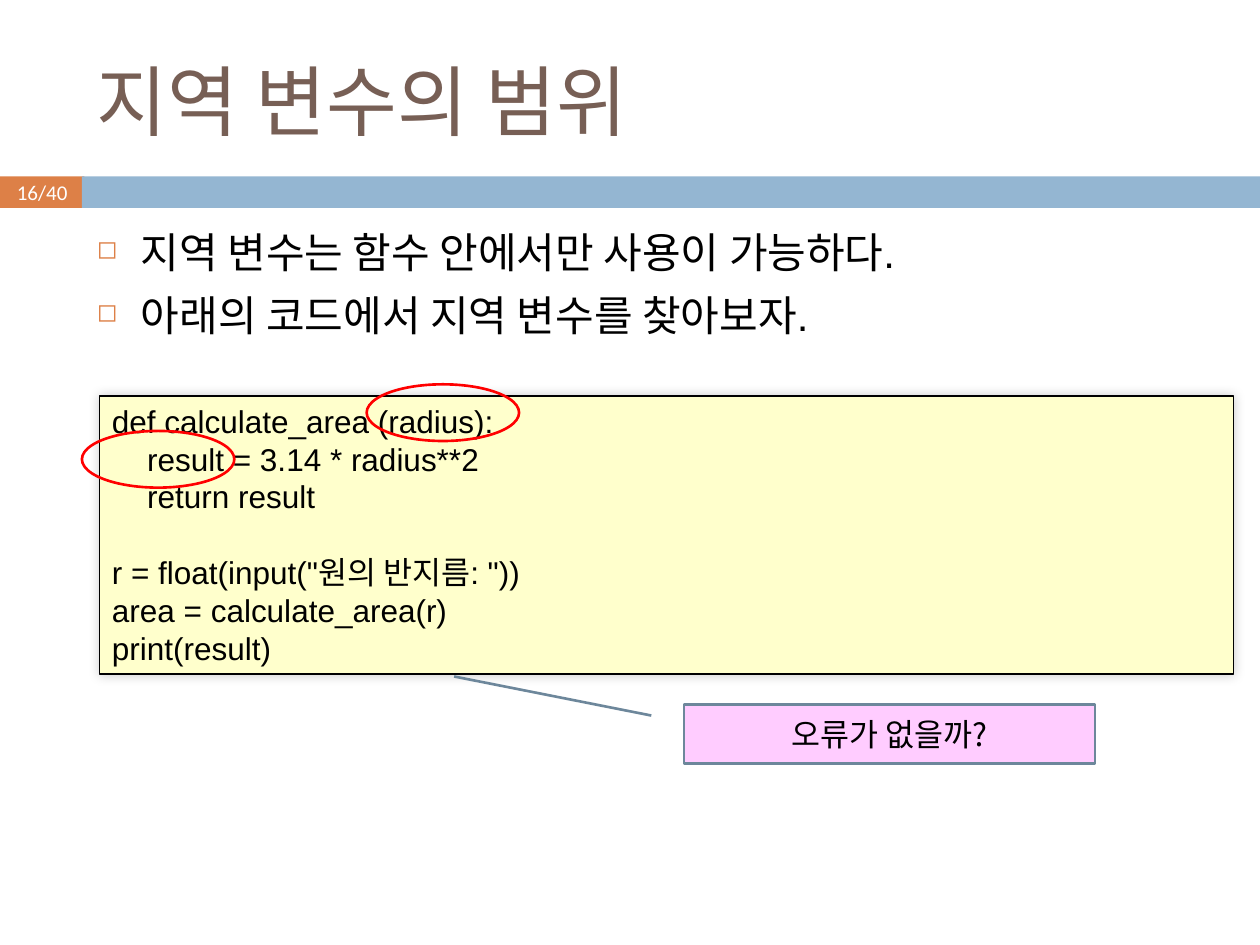
from lxml import etree
from pptx import Presentation, util as u
from pptx.dml.color import RGBColor
from pptx.enum import shapes, text
from pptx.oxml import ns

RECT = shapes.MSO_SHAPE.RECTANGLE
CODE = [
    (0, 0, "def calculate_area (radius):"),
    (1, 0, "result = 3.14 * radius**2"),
    (1, 0, "return result"),
    (0, 1, 'r = float(input("원의 반지름: "))'),
    (0, 0, "area = calculate_area(r)"),
    (0, 0, "print(result)"),
]


def color(value):
    """Turn a hex string into a colour."""
    return RGBColor.from_string(value)


def add_xml(parent, tag, **attributes):
    """Append a DrawingML element and return it."""
    return etree.SubElement(parent, ns.qn(tag), attributes)


def add_box(page, kind, box, fill=None, line=None, width=1):
    """Add a preset shape without shadow; box is left, top, width, height."""
    shape = page.shapes.add_shape(kind, *map(u.Inches, box))
    shape.shadow.inherit = False
    if fill:
        shape.fill.solid()
        shape.fill.fore_color.rgb = color(fill)
    else:
        shape.fill.background()
    if line:
        shape.line.color.rgb = color(line)
        shape.line.width = u.Pt(width)
    else:
        shape.line.fill.background()
    return shape


def add_text_box(page, box, anchor):
    """Add a wrapping text box and return its frame."""
    frame = page.shapes.add_textbox(*map(u.Inches, box)).text_frame
    frame.word_wrap = True
    frame.vertical_anchor = anchor
    return frame


def write(para, words, size, font, hue="000000", align=text.PP_ALIGN.LEFT):
    """Fill a paragraph with one style of text."""
    para.text = words
    para.alignment = align
    para.font.size = u.Pt(size)
    para.font.name = font
    para.font.color.rgb = color(hue)


def write_lines(frame, lines):
    """Yield a paragraph of the frame for each line."""
    for index, line in enumerate(lines):
        yield frame.add_paragraph() if index else frame.paragraphs[0], line


def add_band(page, left, top, width, height):
    """Draw the coloured band with the page number at its left end."""
    number = add_box(page, RECT, (left, top, 0.67, height), "DD8047")
    frame = number.text_frame
    frame.margin_left = frame.margin_right = frame.margin_top = frame.margin_bottom = 0
    write(frame.paragraphs[0], "16/40", 12, "Calibri", "FFFFFF", text.PP_ALIGN.CENTER)
    add_box(page, RECT, (left + 0.65, top, width - 0.65, height), "94B6D2")


def add_title(page, box):
    """Write the slide title."""
    frame = add_text_box(page, box, text.MSO_ANCHOR.MIDDLE)
    write(frame.paragraphs[0], "지역 변수의 범위", 44, "Calibri", "775F55")


def add_bullets(page, box, lines):
    """Write the lines with hollow square bullets."""
    frame = add_text_box(page, box, text.MSO_ANCHOR.TOP)
    for para, line in write_lines(frame, lines):
        properties = para._p.get_or_add_pPr()
        indent = u.Inches(0.35)
        properties.set("marL", str(indent))
        properties.set("indent", str(-indent))
        add_xml(add_xml(properties, "a:buClr"), "a:srgbClr", val="DD8047")
        add_xml(properties, "a:buSzPct", val="60000")
        add_xml(properties, "a:buChar", char="◻")
        para.space_before = u.Pt(7)
        write(para, line, 24, "Arial")


def add_code(page, left, top, width, height):
    """Draw the code panel with its soft shadow and ringed local variables."""
    panel = add_box(page, RECT, (left, top, width, height), "FFFFCC", "000000")
    effects = panel._element.spPr.find(ns.qn("a:effectLst"))
    shadow = add_xml(effects, "a:outerShdw", blurRad=str(u.Pt(6)), dist="0",
                     dir=str(315 * 60000), algn="ctr", rotWithShape="0")
    add_xml(add_xml(shadow, "a:srgbClr", val="000000"), "a:alpha", val="20000")
    panel.text_frame.vertical_anchor = text.MSO_ANCHOR.TOP
    for para, (level, gap, line) in write_lines(panel.text_frame, CODE):
        para._p.get_or_add_pPr().set("marL", str(u.Inches(0.28 * level)))
        para.space_before = u.Pt(21.6 * gap)
        write(para, line, 18, "Arial")
    for right, down in [(2.12, -0.09), (-0.14, 0.28)]:
        ring = (left + right, top + down, 1.21, 0.45)
        add_box(page, shapes.MSO_SHAPE.OVAL, ring, line="FF0000", width=1.5)


def add_question(page, box):
    """Draw the callout that points back at the code."""
    callout = add_box(page, shapes.MSO_SHAPE.LINE_CALLOUT_1, box, "FFCCFF", "6D879B", 1.5)
    for index, value in enumerate([0.19, -0.08, -0.47, -0.56]):
        callout.adjustments[index] = value
    callout.text_frame.vertical_anchor = text.MSO_ANCHOR.MIDDLE
    write(callout.text_frame.paragraphs[0], "오류가 없을까?", 18, "Noto Sans CJK KR",
          align=text.PP_ALIGN.CENTER)


def main():
    """Build the slide and save the deck."""
    deck = Presentation()
    deck.slide_width, deck.slide_height = u.Inches(10), u.Inches(7.5)
    page = deck.slides.add_slide(deck.slide_layouts[6])
    add_band(page, 0, 1.4, 10, 0.25)
    add_title(page, (0.67, 0.25, 8.92, 1.08))
    add_bullets(page, (0.67, 1.75, 8.92, 4.92), [
        "지역 변수는 함수 안에서만 사용이 가능하다.",
        "아래의 코드에서 지역 변수를 찾아보자.",
    ])
    add_code(page, 0.79, 3.14, 9, 2.21)
    add_question(page, (5.43, 5.59, 3.26, 0.47))
    deck.save("out.pptx")


if __name__ == "__main__":
    main()
